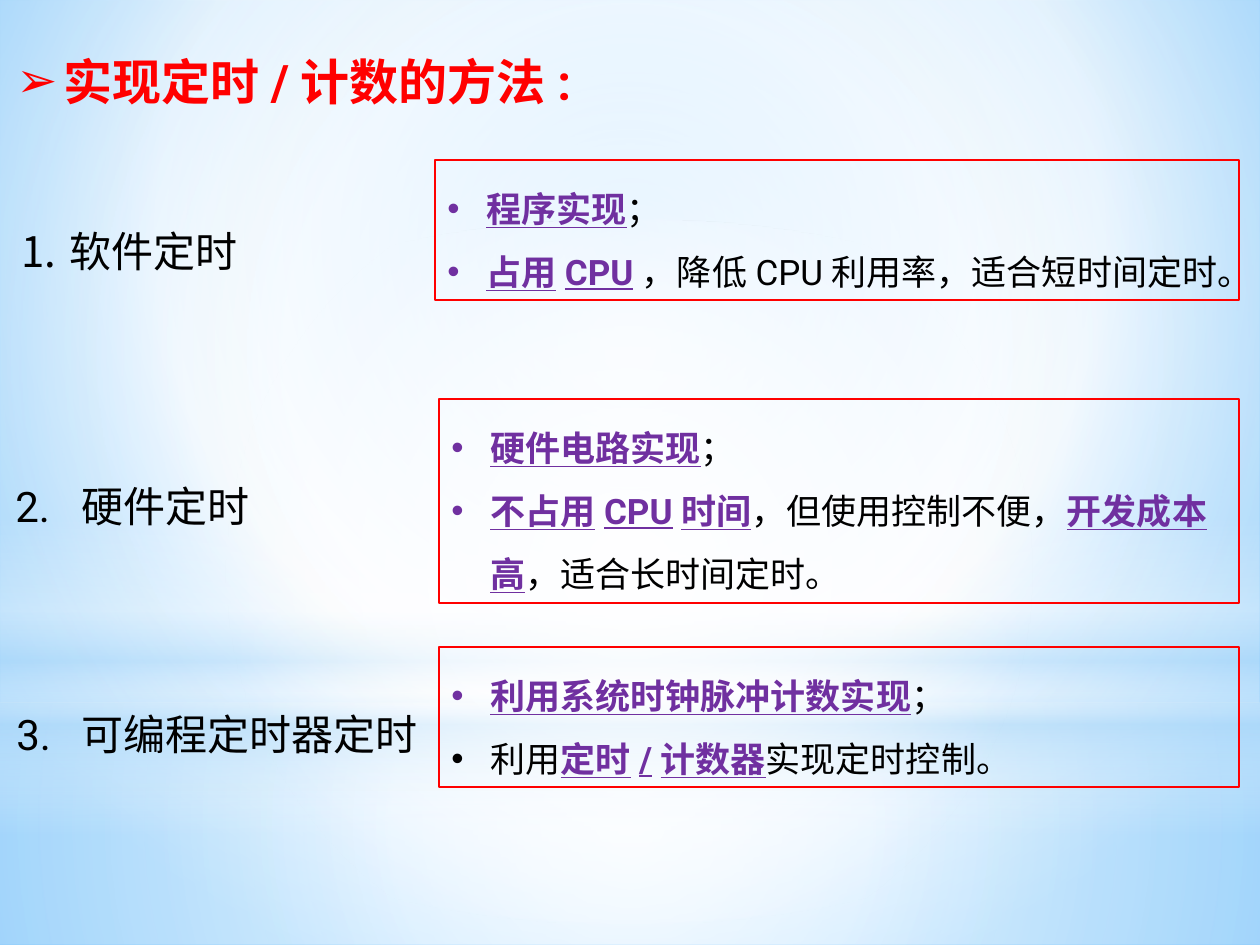
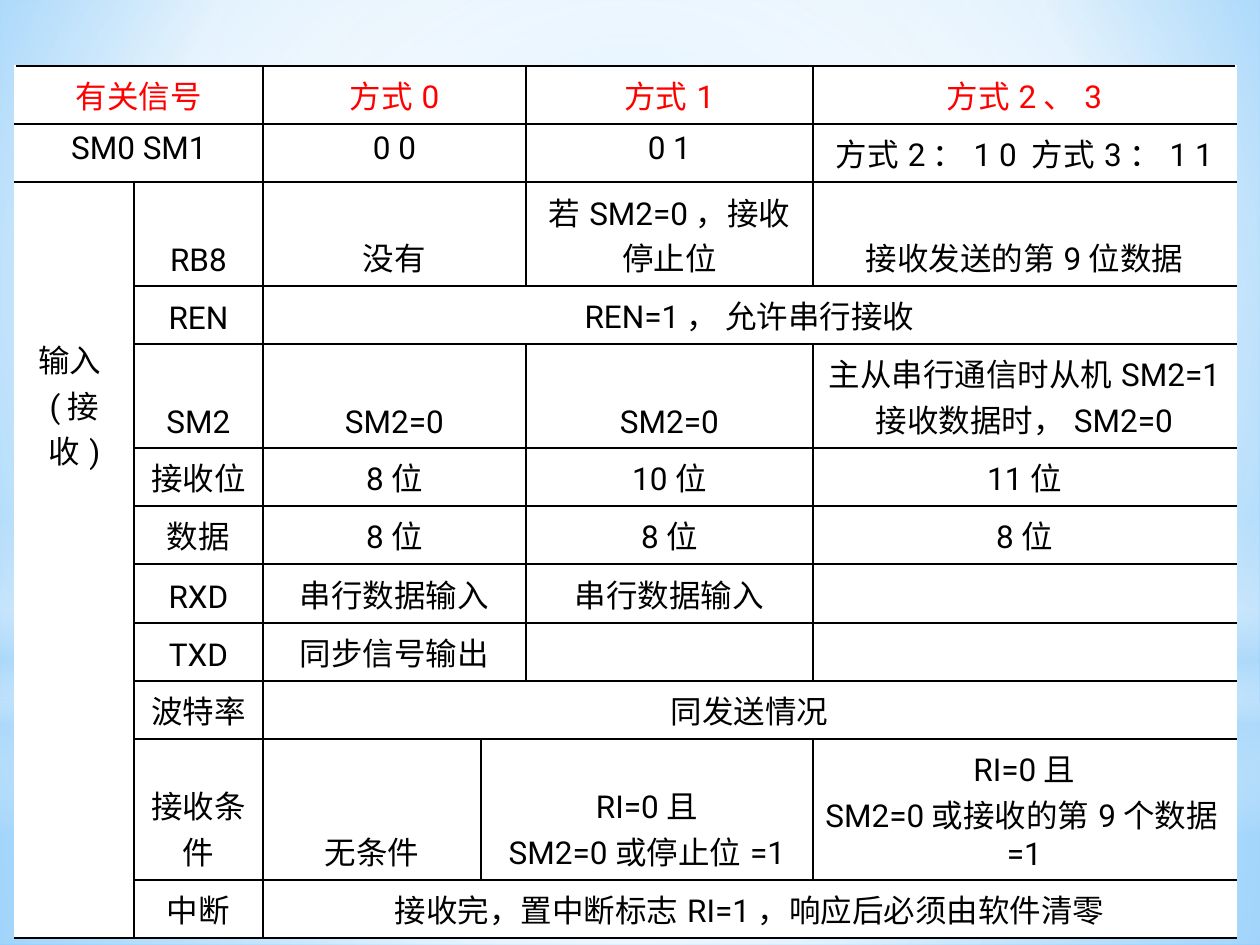
from pptx import Presentation
from pptx.dml.color import RGBColor
from pptx.enum.shapes import MSO_SHAPE as Shape
from pptx.enum.text import MSO_ANCHOR as Anchor, MSO_AUTO_SIZE as AutoSize, PP_ALIGN as Align
from pptx.oxml import parse_xml
from pptx.oxml.ns import nsdecls, qn
from pptx.util import Pt

PX = 914400 / 126
FONT = "Roboto"
RED = RGBColor(0xFF, 0x00, 0x00)
PURPLE = RGBColor(0x70, 0x30, 0xA0)
BLACK = RGBColor(0x00, 0x00, 0x00)
WHITE = RGBColor(0xFF, 0xFF, 0xFF)
PALE_BLUE = RGBColor(0xB4, 0xDC, 0xFA)
SKY_EDGE = RGBColor(0x9E, 0xD5, 0xFF)
SKY_DEEP = RGBColor(0x5B, 0xB9, 0xFF)

CENTRE = (50, 50, 50, 50)
BULLET = '<a:buChar {} char="•"/>'
ARROW = '<a:buChar {} char="➢"/>'
NUMBER = '<a:buAutoNum {} type="arabicPeriod"/>'

# Sky layers: shape, box, gradient stops (position, colour, opacity), focus
SKY = [
    (Shape.RECTANGLE, (0, 703, 1260, 242),
     [(0, WHITE, 91), (37, WHITE, 76), (100, PALE_BLUE, 79)], CENTRE),
    (Shape.RECTANGLE, (0, 0, 1260, 703),
     [(0, WHITE, 89), (48, WHITE, 62), (100, PALE_BLUE, 79)], CENTRE),
    (Shape.RECTANGLE, (0, 519, 1260, 315),
     [(0, WHITE, 0), (29, WHITE, 30), (45, PALE_BLUE, 40), (55, WHITE, 26),
      (65, PALE_BLUE, 60), (100, WHITE, 0)], None),
    (Shape.OVAL, (0, 220, 1260, 703), [(0, WHITE, 100), (56, WHITE, 0)], CENTRE),
]

# Text between asterisks is emphasised
METHODS = [
    ((435, 160, 804, 140), ["*程序实现*；", "*占用CPU*，降低CPU利用率，适合短时间定时。"]),
    ((439, 399, 800, 204),
     ["*硬件电路实现*；", "*不占用CPU时间*，但使用控制不便，*开发成本高*，适合长时间定时。"]),
    ((439, 647, 800, 140),
     ["*利用系统时钟脉冲计数实现*；", "利用*定时/计数器*实现定时控制。"]),
]

COLUMNS = [119, 129, 218, 45, 287, 423]
ROWS = [58, 58, 104, 58, 104, 58, 58, 59, 58, 58, 141, 58]
# Each entry is a text and the number of columns it spans
HEADINGS = [
    [("有关信号", 2), ("方式0", 2), ("方式1", 1), ("方式2、3", 1)],
    [("SM0 SM1", 2), ("0 0", 2), ("0 1", 1), ("方式2：1 0 方式3：1 1", 1)],
]
SIGNALS = [
    [("RB8", 1), ("没有", 2), ("若SM2=0，接收停止位", 1), ("接收发送的第9位数据", 1)],
    [("REN", 1), ("REN=1， 允许串行接收", 4)],
    [("SM2", 1), ("SM2=0", 2), ("SM2=0", 1),
     ("主从串行通信时从机SM2=1\n接收数据时，SM2=0", 1)],
    [("接收位", 1), ("8位", 2), ("10位", 1), ("11位", 1)],
    [("数据", 1), ("8位", 2), ("8位", 1), ("8位", 1)],
    [("RXD", 1), ("串行数据输入", 2), ("串行数据输入", 1), ("", 1)],
    [("TXD", 1), ("同步信号输出", 2), ("", 1), ("", 1)],
    [("波特率", 1), ("同发送情况", 4)],
    [("接收条件", 1), ("无条件", 1), ("RI=0且\nSM2=0或停止位=1", 2),
     ("RI=0且\nSM2=0或接收的第9个数据=1", 1)],
    [("中断", 1), ("接收完，置中断标志RI=1，响应后必须由软件清零", 4)],
]


def emu(px):
    return round(px * PX)


def place(box):
    return [emu(value) for value in box]


def set_gradient(fill, owner, stops, focus):
    """Fill with a radial gradient, or a vertical one when there is no focus."""
    fill.solid()
    fill.fore_color.rgb = WHITE
    solid = next(owner.iter(qn("a:solidFill")))
    stop_xml = "".join(
        f'<a:gs pos="{pos * 1000}"><a:srgbClr val="{colour}">'
        f'<a:alpha val="{alpha * 1000}"/></a:srgbClr></a:gs>'
        for pos, colour, alpha in stops)
    if focus:
        sides = " ".join(f'{s}="{v * 1000}"' for s, v in zip("ltrb", focus))
        direction = f'<a:path path="circle"><a:fillToRect {sides}/></a:path>'
    else:
        direction = '<a:lin ang="5400000" scaled="0"/>'
    solid.getparent().replace(solid, parse_xml(
        f'<a:gradFill {nsdecls("a")} rotWithShape="1"><a:gsLst>{stop_xml}</a:gsLst>'
        f'{direction}</a:gradFill>'))


def add_sky_slide(deck):
    slide = deck.slides.add_slide(deck.slide_layouts[6])
    set_gradient(slide.background.fill, slide.element,
                 [(0, SKY_EDGE, 100), (60, WHITE, 100), (100, SKY_DEEP, 100)],
                 (20, 10, 20, 60))
    for kind, box, stops, focus in SKY:
        layer = slide.shapes.add_shape(kind, *place(box))
        layer.shadow.inherit = False
        layer.line.fill.background()
        set_gradient(layer.fill, layer.element, stops, focus)
    return slide


def style(paragraph, size, colour=BLACK, bold=None):
    font = paragraph.font
    font.name, font.size, font.bold = FONT, Pt(size), bold
    font.color.rgb = colour


def hang(paragraph, indent, bullet=None):
    properties = paragraph._p.get_or_add_pPr()
    properties.set("marL", str(emu(indent)))
    properties.set("indent", str(-emu(indent)))
    parts = []
    if bullet in (BULLET, ARROW):
        parts.append('<a:buFont {} typeface="Arial"/>')
    if bullet:
        parts.append(bullet)
    for part in parts:
        properties.insert_element_before(
            parse_xml(part.format(nsdecls("a"))), "a:tabLst", "a:defRPr", "a:extLst")


def add_line(slide, box, text, size, spacing, indent, bullet=None, **look):
    frame = slide.shapes.add_textbox(*place(box)).text_frame
    frame.word_wrap = True
    frame.auto_size = AutoSize.SHAPE_TO_FIT_TEXT
    line = frame.paragraphs[0]
    line.text = text
    line.line_spacing = spacing
    style(line, size, **look)
    hang(line, indent, bullet)
    return line


def add_method_label(slide, box, text, indent, bullet=None):
    label = add_line(slide, box, text, 24, 2.5, indent, bullet)
    label.alignment = Align.JUSTIFY


def add_method_box(slide, box, points):
    panel = slide.shapes.add_shape(Shape.RECTANGLE, *place(box))
    panel.shadow.inherit = False
    panel.fill.background()
    panel.line.color.rgb = RED
    panel.line.width = Pt(1.25)
    frame = panel.text_frame
    frame.word_wrap = True
    frame.auto_size = AutoSize.SHAPE_TO_FIT_TEXT
    frame.vertical_anchor = Anchor.TOP
    for index, point in enumerate(points):
        paragraph = frame.add_paragraph() if index else frame.paragraphs[0]
        paragraph.alignment = Align.LEFT
        paragraph.line_spacing = 1.5
        style(paragraph, 20)
        hang(paragraph, 39, BULLET)
        for part, words in enumerate(point.split("*")):
            if words:
                run = paragraph.add_run()
                run.text = words
                key = part % 2 == 1
                run.font.bold = run.font.underline = key
                run.font.color.rgb = PURPLE if key else BLACK


def set_borders(cell, left, right):
    properties = cell._tc.get_or_add_tcPr()
    sides = [("L", left), ("R", right), ("T", BLACK), ("B", BLACK)]
    for index, (side, colour) in enumerate(sides):
        properties.insert(index, parse_xml(
            f'<a:ln{side} {nsdecls("a")} w="12700"><a:solidFill>'
            f'<a:srgbClr val="{colour}"/></a:solidFill></a:ln{side}>'))


def write_cell(cell, text, colour=BLACK, anchor=Anchor.TOP):
    cell.text = text
    cell.vertical_anchor = anchor
    for paragraph in cell.text_frame.paragraphs:
        paragraph.alignment = Align.CENTER
        style(paragraph, 18, colour)


def add_signal_table(slide):
    table = slide.shapes.add_table(
        len(ROWS), len(COLUMNS), *place((15, 66, sum(COLUMNS), sum(ROWS)))).table
    table.first_row = table.horz_banding = False
    for column, width in zip(table.columns, COLUMNS):
        column.width = emu(width)
    for row, height in zip(table.rows, ROWS):
        row.height = emu(height)

    # Texts and spans; the signal rows start after the merged first column
    last = len(ROWS) - 1
    spans = {}
    for r, entries in enumerate(HEADINGS + SIGNALS):
        c = 0 if r < len(HEADINGS) else 1
        anchor = Anchor.BOTTOM if len(HEADINGS) <= r < last else Anchor.TOP
        for text, span in entries:
            cell = table.cell(r, c)
            write_cell(cell, text, BLACK if r else RED, anchor)
            if span > 1:
                cell.merge(table.cell(r, c + span - 1))
            spans[r, c] = span
            c += span
    direction = table.cell(len(HEADINGS), 0)
    direction.merge(table.cell(last, 0))
    write_cell(direction, "输入(接收)")
    direction.margin_top = emu(154)

    # White fill, black rules, open outer sides
    for r in range(len(ROWS)):
        for c in range(len(COLUMNS)):
            cell = table.cell(r, c)
            cell.fill.solid()
            cell.fill.fore_color.rgb = WHITE
            at_end = c + spans.get((r, c), 1) == len(COLUMNS)
            set_borders(cell, BLACK if c else WHITE, WHITE if at_end else BLACK)


def main():
    deck = Presentation()
    deck.slide_width, deck.slide_height = emu(1260), emu(945)

    # Ways of timing and counting
    methods = add_sky_slide(deck)
    add_line(methods, (4, 16, 606, 102), "实现定时/计数的方法:", 28, 1.5, 47, ARROW,
             colour=RED, bold=True)
    for box, points in METHODS:
        add_method_box(methods, box, points)
    add_method_label(methods, (9, 144, 1241, 118), "软件定时", 48, NUMBER)
    add_method_label(methods, (3, 399, 333, 140), "2.\t硬件定时", 66)
    add_method_label(methods, (4, 627, 451, 140), "3.\t可编程定时器定时", 65)

    # Receiving signals in each mode
    add_signal_table(add_sky_slide(deck))
    deck.save("out.pptx")


if __name__ == "__main__":
    main()
